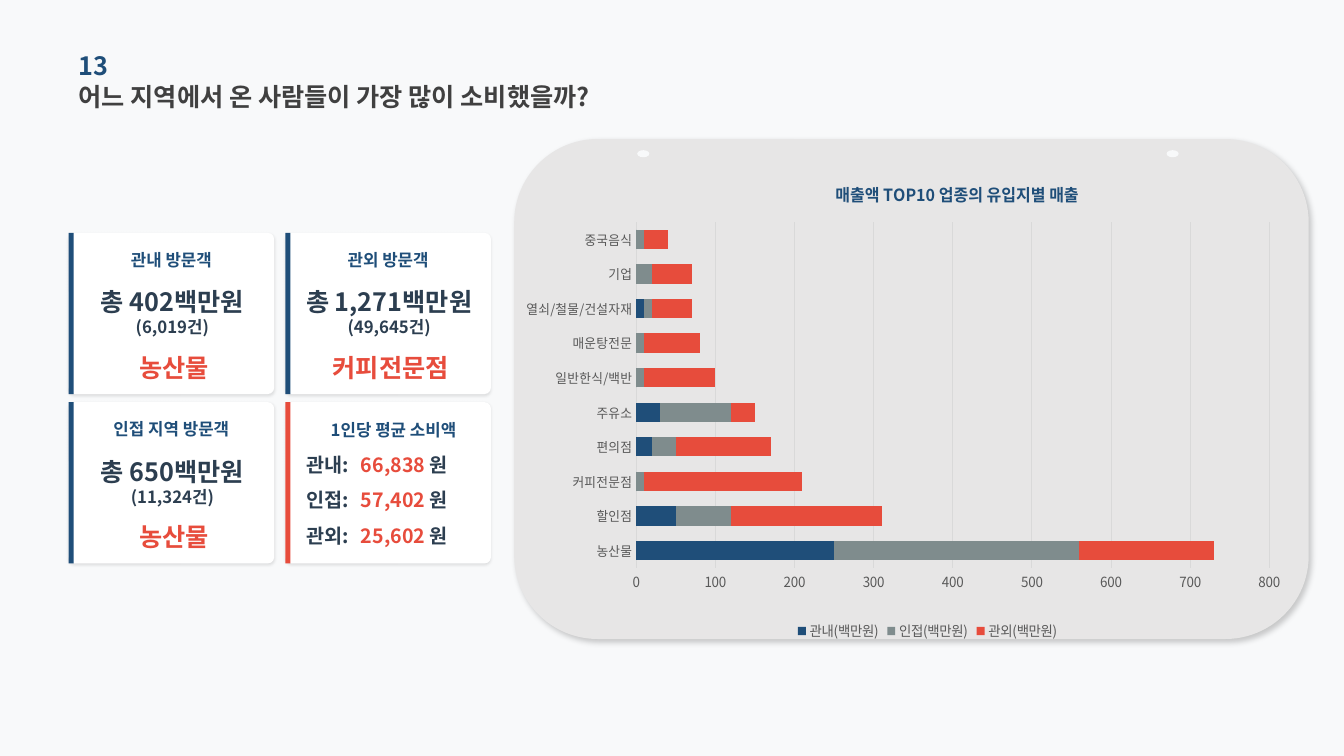
import pptx
import pptx.chart.data
import pptx.dml.color
import pptx.enum.chart
import pptx.enum.shapes
import pptx.enum.text
import pptx.oxml
import pptx.oxml.ns
import pptx.util
from pptx.util import Inches

RGBColor = pptx.dml.color.RGBColor
BACKGROUND = RGBColor(0xF8, 0xF9, 0xFA)
PANEL = RGBColor(0xE7, 0xE6, 0xE6)
WHITE = RGBColor(0xFF, 0xFF, 0xFF)
HEADING = RGBColor(0x40, 0x40, 0x40)
NAVY = RGBColor(0x1F, 0x4E, 0x79)
INK = RGBColor(0x2C, 0x3E, 0x50)
RED = RGBColor(0xE7, 0x4C, 0x3C)
GRAY = RGBColor(0x7F, 0x8C, 0x8D)
AXIS_TEXT = RGBColor(0x59, 0x59, 0x59)
GRID = RGBColor(0xD9, 0xD9, 0xD9)
FONT = "Noto Sans CJK KR"
SHAPE = pptx.enum.shapes.MSO_SHAPE
CENTER = pptx.enum.text.PP_ALIGN.CENTER
NAMESPACES = pptx.oxml.ns.nsdecls("a", "c")

CARD_WIDTH, CARD_HEIGHT = 2.04, 1.6
CATEGORIES = ["농산물", "할인점", "커피전문점", "편의점", "주유소", "일반한식/백반",
              "매운탕전문", "열쇠/철물/건설자재", "기업", "중국음식"]
SALES = [
    ("관내(백만원)", NAVY, [250, 50, 0, 20, 30, 0, 0, 10, 0, 0]),
    ("인접(백만원)", GRAY, [310, 70, 10, 30, 90, 10, 10, 10, 20, 10]),
    ("관외(백만원)", RED, [170, 190, 200, 120, 30, 90, 70, 50, 50, 30]),
]


def style_font(font, size, color, bold=False):
    """Set the font for both Latin and Korean letters."""
    font.size = pptx.util.Pt(size)
    font.bold = bold
    font.color.rgb = color
    font.name = FONT
    latin = font._rPr.find(pptx.oxml.ns.qn("a:latin"))
    latin.addnext(pptx.oxml.parse_xml(f'<a:ea {NAMESPACES} typeface="{FONT}"/>'))


def add_box(slide, kind, left, top, width, height, color):
    shape = slide.shapes.add_shape(kind, Inches(left), Inches(top), Inches(width), Inches(height))
    shape.shadow.inherit = False
    shape.fill.solid()
    shape.fill.fore_color.rgb = color
    shape.line.fill.background()
    return shape


def add_shadow(shape, opacity, blur, distance, angle):
    effects = shape._element.spPr.find(pptx.oxml.ns.qn("a:effectLst"))
    effects.append(pptx.oxml.parse_xml(
        f'<a:outerShdw {NAMESPACES} blurRad="{blur * 12700}" dist="{distance * 12700}" '
        f'dir="{angle * 60000}" algn="tl" rotWithShape="0"><a:srgbClr val="000000">'
        f'<a:alpha val="{opacity * 1000}"/></a:srgbClr></a:outerShdw>'))


def add_text(slide, text, left, top, width, height, size, color, align=None):
    """Add one bold line and return its paragraph."""
    box = slide.shapes.add_textbox(Inches(left), Inches(top), Inches(width), Inches(height))
    frame = box.text_frame
    frame.word_wrap = True
    frame.vertical_anchor = pptx.enum.text.MSO_ANCHOR.MIDDLE
    frame.margin_left = frame.margin_right = frame.margin_top = frame.margin_bottom = 0
    paragraph = frame.paragraphs[0]
    paragraph.alignment = align
    paragraph.add_run().text = text
    style_font(paragraph.font, size, color, bold=True)
    return paragraph


def add_heading(slide, left, top):
    add_text(slide, "13", left, top, 4.52, 0.41, 18, NAVY)
    add_text(slide, "어느 지역에서 온 사람들이 가장 많이 소비했을까?", left, top + 0.31, 5.5, 0.41, 18, HEADING)


def add_card(slide, left, top, accent):
    card = add_box(slide, SHAPE.ROUNDED_RECTANGLE, left, top, CARD_WIDTH, CARD_HEIGHT, WHITE)
    card.adjustments[0] = 0.04
    add_shadow(card, 10, 2, 1, 90)
    add_box(slide, SHAPE.RECTANGLE, left, top, 0.05, CARD_HEIGHT, accent)


def add_visitor_card(slide, left, top, title, total, count, product):
    add_card(slide, left, top, NAVY)
    add_text(slide, title, left, top + 0.11, CARD_WIDTH, 0.31, 12, NAVY, CENTER)
    paragraph = add_text(slide, total, left, top + 0.55, CARD_WIDTH + 0.02, 0.47, 18, INK, CENTER)
    paragraph.add_line_break()
    count_run = paragraph.add_run()
    count_run.text = count
    count_run.font.size = pptx.util.Pt(12)
    add_text(slide, product, left + 0.05, top + 1.1, CARD_WIDTH - 0.05, 0.47, 18, RED, CENTER)


def add_average_card(slide, left, top, averages):
    add_card(slide, left, top, RED)
    add_text(slide, "1인당 평균 소비액", left + 0.45, top + 0.15, 1.4, 0.25, 12, NAVY)
    for index, (region, amount) in enumerate(averages):
        row_top = top + 0.47 + 0.35 * index
        add_text(slide, region, left + 0.21, row_top, 0.59, 0.3, 14, INK)
        paragraph = add_text(slide, amount + " ", left + 0.75, row_top, 1.25, 0.3, 14, RED)
        unit = paragraph.add_run()
        unit.text = "원"
        unit.font.color.rgb = INK


def set_layout(element, xml_values, target=""):
    """Place a chart part by fractions of the chart's size."""
    settings = "".join(f'<c:{name} val="{value}"/>' for name, value in xml_values)
    for old in element.findall(pptx.oxml.ns.qn("c:layout")):
        element.remove(old)
    return pptx.oxml.parse_xml(
        f'<c:layout {NAMESPACES}><c:manualLayout>{target}<c:xMode val="edge"/>'
        f'<c:yMode val="edge"/>{settings}</c:manualLayout></c:layout>')


def add_sales_chart(slide, left, top, width, height):
    data = pptx.chart.data.CategoryChartData()
    data.categories = CATEGORIES
    for name, _, values in SALES:
        data.add_series(name, values)
    chart = slide.shapes.add_chart(
        pptx.enum.chart.XL_CHART_TYPE.BAR_STACKED,
        Inches(left), Inches(top), Inches(width), Inches(height), data).chart
    style_font(chart.font, 10, AXIS_TEXT)
    chart._chartSpace.find(pptx.oxml.ns.qn("c:txPr")).addprevious(pptx.oxml.parse_xml(
        f'<c:spPr {NAMESPACES}><a:noFill/><a:ln><a:noFill/></a:ln></c:spPr>'))

    chart.has_title = True
    title = chart.chart_title.text_frame
    title.text = "매출액 TOP10 업종의 유입지별 매출"
    style_font(title.paragraphs[0].font, 12, NAVY, bold=True)
    title_element = chart.chart_title._element
    title_layout = set_layout(title_element, [("x", 0.37), ("y", 0.04)])
    title_element.find(pptx.oxml.ns.qn("c:tx")).addnext(title_layout)
    plot_element = chart._chartSpace.chart.plotArea
    plot_element.insert(0, set_layout(
        plot_element, [("x", 0.102), ("y", 0.133), ("w", 0.865), ("h", 0.709)],
        '<c:layoutTarget val="inner"/>'))

    plot = chart.plots[0]
    plot.gap_width = 80
    plot.overlap = 100
    plot.vary_by_categories = False
    for series, (_, color, _) in zip(plot.series, SALES):
        series.format.fill.solid()
        series.format.fill.fore_color.rgb = color

    for axis, size in ((chart.category_axis, 9.5), (chart.value_axis, 10)):
        axis.major_tick_mark = axis.minor_tick_mark = pptx.enum.chart.XL_TICK_MARK.NONE
        style_font(axis.tick_labels.font, size, AXIS_TEXT)
    chart.category_axis.has_major_gridlines = False
    value_axis = chart.value_axis
    value_axis.minimum_scale, value_axis.maximum_scale, value_axis.major_unit = 0, 800, 100
    value_axis.has_major_gridlines = True
    value_axis.format.line.fill.background()
    for line in (chart.category_axis.format.line, value_axis.major_gridlines.format.line):
        line.color.rgb = GRID
        line.width = pptx.util.Pt(0.75)

    chart.has_legend = True
    chart.legend.position = pptx.enum.chart.XL_LEGEND_POSITION.BOTTOM
    chart.legend.include_in_layout = False
    style_font(chart.legend.font, 10, AXIS_TEXT)


def add_chart_panel(slide, left, top, width, height):
    panel = add_box(slide, SHAPE.ROUNDED_RECTANGLE, left, top, width, height, PANEL)
    add_shadow(panel, 20, 4, 3, 45)
    for offset in (1.22, 6.47):
        add_box(slide, SHAPE.OVAL, left + offset, top + 0.11, 0.12, 0.07, BACKGROUND)
    add_sales_chart(slide, left + 0.12, top + 0.18, width - 0.27, height - 0.12)


def main():
    presentation = pptx.Presentation()
    presentation.slide_width = Inches(13.33)
    presentation.slide_height = Inches(7.5)
    slide = presentation.slides.add_slide(presentation.slide_layouts[6])
    slide.background.fill.solid()
    slide.background.fill.fore_color.rgb = BACKGROUND

    add_heading(slide, 0.78, 0.44)
    columns, rows = (0.68, 2.83), (2.31, 3.99)
    add_visitor_card(slide, columns[0], rows[0], "관내 방문객", "총 402백만원", "(6,019건)", "농산물")
    add_visitor_card(slide, columns[1], rows[0], "관외 방문객", "총 1,271백만원", "(49,645건)", "커피전문점")
    add_visitor_card(slide, columns[0], rows[1], "인접 지역 방문객", "총 650백만원", "(11,324건)", "농산물")
    add_average_card(slide, columns[1], rows[1],
                     [("관내:", "66,838"), ("인접:", "57,402"), ("관외:", "25,602")])
    add_chart_panel(slide, 5.1, 1.38, 7.88, 4.96)
    presentation.save("out.pptx")


if __name__ == "__main__":
    main()
